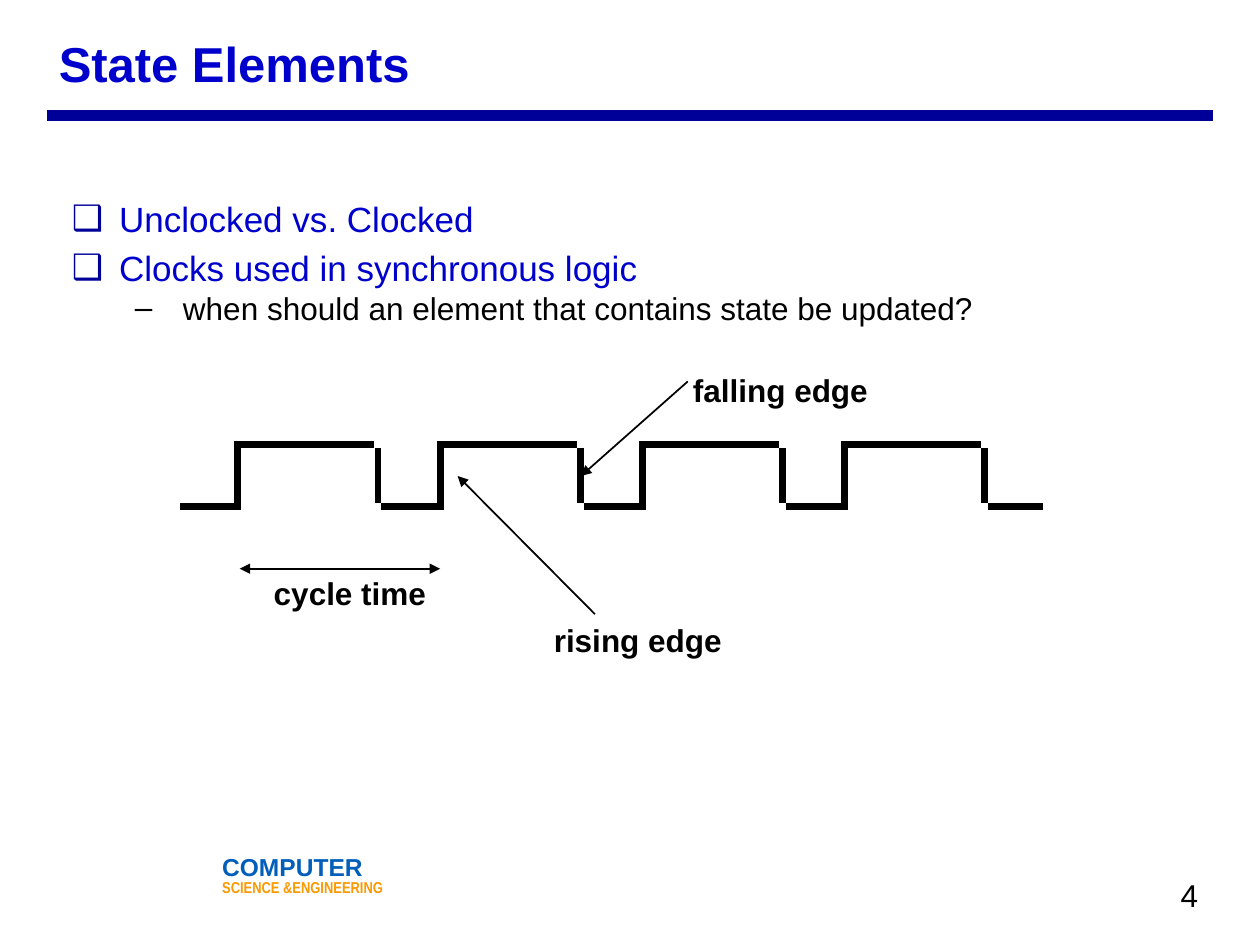
import pptx
import pptx.util
import pptx.dml.color
import pptx.enum.shapes
import pptx.enum.text
import pptx.oxml.ns
import lxml.etree

Pt = pptx.util.Pt
COLORS = {
    "rule": "000099", "heading": "0000CC", "text": "000000",
    "white": "FFFFFF", "department": "015EBA", "field": "FB9902",
}


def rgb(name):
    return pptx.dml.color.RGBColor.from_string(COLORS[name])


def add_xml(parent, tag, **attributes):
    return lxml.etree.SubElement(parent, pptx.oxml.ns.qn(tag), **attributes)


def format_run(run, size, color, bold=False, font="Arial"):
    run.font.size = Pt(size)
    run.font.name = font
    run.font.bold = bold
    run.font.color.rgb = rgb(color)


def set_margins(text_frame, margin):
    text_frame.margin_left = text_frame.margin_right = Pt(margin)
    text_frame.margin_top = text_frame.margin_bottom = Pt(margin)


def add_text(slide, box, text, size, color, bold=False, margin=3.6, wrap=True):
    shape = slide.shapes.add_textbox(*map(Pt, box))
    text_frame = shape.text_frame
    text_frame.word_wrap = wrap
    set_margins(text_frame, margin)
    text_frame.text = text
    format_run(text_frame.paragraphs[0].runs[0], size, color, bold)
    return text_frame


def add_line(slide, start, end, width, color="text", arrows=()):
    line = slide.shapes.add_connector(
        pptx.enum.shapes.MSO_CONNECTOR.STRAIGHT, *map(Pt, (*start, *end)))
    line.line.width = Pt(width)
    line.line.color.rgb = rgb(color)
    for arrow in arrows:
        add_xml(line.line._get_or_add_ln(), arrow, type="triangle")
    add_xml(line._element.spPr, "a:effectLst")


def add_header(slide, left, top, width):
    text_frame = add_text(slide, (left + 3, top, 600, 48), "State Elements",
                          28, "heading", True)
    text_frame.vertical_anchor = pptx.enum.text.MSO_ANCHOR.MIDDLE
    add_line(slide, (left, top + 54), (left + width, top + 54), 6, "rule")


def add_bullets(slide, box):
    # Text, size, colour, bullet, bullet colour, left margin, hanging indent, level, space before
    items = [
        ("Unclocked vs. Clocked", 20, "heading", "❑", "rule", 27, 27, 0, 0),
        ("Clocks used in synchronous logic", 20, "heading", "❑", "rule", 27, 27, 0, 4),
        (" when should an element that contains state be updated?",
         18, "text", "–", "text", 58.5, 22.5, 1, 0),
    ]
    text_frame = slide.shapes.add_textbox(*map(Pt, box)).text_frame
    text_frame.word_wrap = True
    set_margins(text_frame, 3.6)
    text_frame.text = "\n".join(item[0] for item in items)
    for paragraph, item in zip(text_frame.paragraphs, items):
        _, size, color, bullet, bullet_color, margin, hanging, level, before = item
        format_run(paragraph.runs[0], size, color)
        paragraph.level = level
        paragraph.space_before = Pt(before)
        properties = paragraph._p.get_or_add_pPr()
        properties.set("marL", str(Pt(margin)))
        properties.set("indent", str(-Pt(hanging)))
        add_xml(add_xml(properties, "a:buClr"), "a:srgbClr", val=COLORS[bullet_color])
        add_xml(properties, "a:buFont", typeface="Arial")
        add_xml(properties, "a:buChar", char=bullet)


def add_clock_wave(slide, left, top, cycles=4, period=115.5, height=35.5):
    high, low = top + 2, top + 2 + height
    first_rise = left + 33
    add_line(slide, (left, low), (first_rise - 2, low), 4)
    for cycle in range(cycles):
        rise = first_rise + cycle * period
        fall = rise + 80
        add_line(slide, (rise, low + 2), (rise, top), 4)
        add_line(slide, (rise + 2, high), (fall - 2, high), 4)
        add_line(slide, (fall, high + 2), (fall, low - 2), 4)
        add_line(slide, (fall + 2, low), (rise + period - 2, low), 4)


def add_timing_diagram(slide, left, top):
    add_clock_wave(slide, left, top + 45)
    # Label, label position and width, arrow start and end, arrowheads
    notes = [
        ("cycle time", (52, 116, 91), (34, 118), (148.5, 118), ("a:headEnd", "a:tailEnd")),
        ("rising edge", (212, 143, 100), (158.5, 65), (237, 144), ("a:headEnd",)),
        ("falling edge", (291.5, 0, 104), (229, 65), (290, 11), ("a:headEnd",)),
    ]
    for label, (x, y, width), start, end, arrows in notes:
        add_line(slide, (left + start[0], top + start[1]),
                 (left + end[0], top + end[1]), 1, arrows=arrows)
        text_frame = add_text(slide, (left + x, top + y, width, 24), label,
                              18, "text", True, 1.44, False)
        text_frame.paragraphs[0].line_spacing = 1.17


def add_footer(slide, left, top):
    # Department name
    shape = slide.shapes.add_shape(pptx.enum.shapes.MSO_SHAPE.RECTANGLE,
                                   Pt(left), Pt(top), Pt(103), Pt(25))
    shape.shadow.inherit = False
    shape.fill.solid()
    shape.fill.fore_color.rgb = rgb("white")
    shape.line.color.rgb = rgb("white")
    shape.line.width = Pt(3)
    text_frame = shape.text_frame
    set_margins(text_frame, 0)
    text_frame.vertical_anchor = pptx.enum.text.MSO_ANCHOR.TOP
    text_frame.text = "COMPUTER\nSCIENCE &ENGINEERING"
    department, field = text_frame.paragraphs
    for paragraph in (department, field):
        paragraph.alignment = pptx.enum.text.PP_ALIGN.LEFT
        paragraph.line_spacing = 0.5
    field.space_before = Pt(4)
    format_run(department.runs[0], 14, "department", True)
    format_run(field.runs[0], 9, "field", True, "Arial Narrow")
    # Slide number
    add_text(slide, (left + 544, top + 3, 18, 27), "4", 18, "text", wrap=False)


def main():
    presentation = pptx.Presentation()
    presentation.slide_width, presentation.slide_height = Pt(720), Pt(540)
    slide = presentation.slides.add_slide(presentation.slide_layouts[6])
    add_footer(slide, 127, 494)
    add_header(slide, 27, 12, 666)
    add_bullets(slide, (37.5, 109.5, 621, 357))
    add_timing_diagram(slide, 103, 207)
    presentation.save("out.pptx")


if __name__ == "__main__":
    main()
